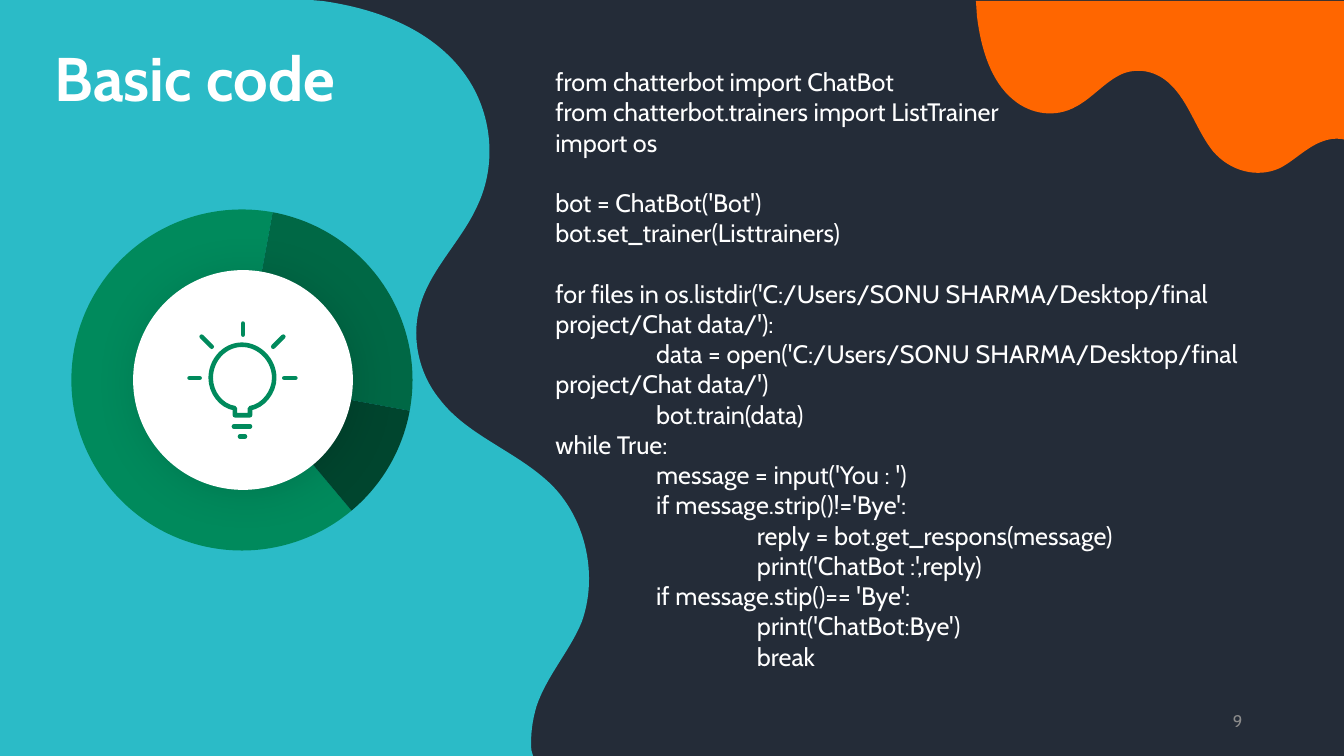
from lxml.etree import SubElement
from pptx import Presentation
from pptx.chart.data import CategoryChartData
from pptx.dml.color import RGBColor
from pptx.enum.chart import XL_CHART_TYPE
from pptx.enum.shapes import MSO_CONNECTOR, MSO_SHAPE
from pptx.enum.text import MSO_ANCHOR, MSO_AUTO_SIZE, PP_ALIGN
from pptx.oxml import parse_xml
from pptx.oxml.ns import nsdecls, qn
from pptx.util import Inches, Pt

NAVY = RGBColor(0x24, 0x2C, 0x38)
TEAL = RGBColor(0x2B, 0xBB, 0xC7)
ORANGE = RGBColor(0xFF, 0x66, 0x00)
WHITE = RGBColor(0xFF, 0xFF, 0xFF)
BLACK = RGBColor(0x00, 0x00, 0x00)
GREY = RGBColor(0x8C, 0x8C, 0x8C)
GREEN = RGBColor(0x00, 0x8A, 0x5C)
RING_COLOURS = [GREEN, RGBColor(0x00, 0x68, 0x45), RGBColor(0x00, 0x45, 0x2E)]

FONT = "Cabin"
CODE_LINE = Pt(21.6)

# Outlines: a pair is a straight line's end, six numbers are a Bézier curve.
TEAL_WAVE = [
    (-0.02, -0.01), (2.96, -0.01), (3.2, 0.01),
    (3.77, 0.09, 4.31, 0.31, 4.62, 0.75), (4.88, 1.12, 4.93, 1.62, 4.74, 2.03),
    (4.59, 2.37, 4.29, 2.65, 4.18, 2.99), (4.07, 3.31, 4.14, 3.69, 4.36, 3.96),
    (4.64, 4.33, 5.14, 4.48, 5.48, 4.82), (5.82, 5.17, 5.93, 5.72, 5.77, 6.17),
    (5.65, 6.46, 5.42, 6.71, 5.32, 7.01), (5.28, 7.15, 5.26, 7.29, 5.27, 7.44),
    (5.29, 7.51), (2.95, 7.51), (-0.02, 7.51),
]
ORANGE_DRIP = [
    (13.35, 0.01), (9.68, 0.01), (9.69, 0.16),
    (9.73, 0.49, 9.83, 0.81, 10.05, 0.99), (10.23, 1.14, 10.47, 1.17, 10.67, 1.06),
    (10.84, 0.97, 10.97, 0.8, 11.14, 0.73), (11.3, 0.67, 11.48, 0.71, 11.61, 0.84),
    (11.79, 1.01, 11.87, 1.3, 12.03, 1.5), (12.2, 1.7, 12.47, 1.77, 12.69, 1.67),
    (12.83, 1.6, 12.95, 1.47, 13.1, 1.41), (13.17, 1.38, 13.24, 1.37, 13.31, 1.38),
    (13.35, 1.39),
]
BULB_GLASS = [
    (2.72, 3.75), (2.72, 3.57, 2.57, 3.42, 2.4, 3.42),
    (2.23, 3.42, 2.09, 3.57, 2.09, 3.75), (2.09, 3.89, 2.19, 4.03, 2.33, 4.05),
    (2.33, 4.12), (2.48, 4.12), (2.48, 4.05),
    (2.61, 4.03, 2.72, 3.89, 2.72, 3.75),
]
BULB_STROKES = [
    (2.43, 4.33, 2.38, 4.33), (2.48, 4.23, 2.32, 4.23), (2.41, 3.21, 2.41, 3.32),
    (2.93, 3.75, 2.82, 3.75), (1.88, 3.75, 1.98, 3.75), (2, 3.34, 2.1, 3.44),
    (2.81, 3.34, 2.71, 3.44),
]

# Blocks are set apart by space; each line has its indent level.
CODE_BLOCKS = [
    [(0, "from chatterbot import ChatBot"),
     (0, "from chatterbot.trainers import ListTrainer"),
     (0, "import os")],
    [(0, "bot = ChatBot('Bot')"),
     (0, "bot.set_trainer(Listtrainers)")],
    [(0, "for files in os.listdir('C:/Users/SONU SHARMA/Desktop/final project/Chat data/'):"),
     (1, "data = open('C:/Users/SONU SHARMA/Desktop/final project/Chat data/')"),
     (1, "bot.train(data)"),
     (0, "while True:"),
     (1, "message = input('You : ')"),
     (1, "if message.strip()!='Bye':"),
     (2, "reply = bot.get_respons(message)"),
     (2, "print('ChatBot :',reply)"),
     (1, "if message.stip()== 'Bye':"),
     (2, "print('ChatBot:Bye')"),
     (2, "break")],
]


def set_all(target, formats):
    for name, value in formats.items():
        setattr(target, name, value)


def style_font(font, size, colour, bold=False):
    set_all(font, {"name": FONT, "size": Pt(size), "bold": bold})
    font.color.rgb = colour


def fill_plain(shape, colour):
    shape.fill.solid()
    shape.fill.fore_color.rgb = colour
    shape.line.fill.background()


def add_outline(slide, outline):
    """Draw straight lines through every point, then bend the curved segments."""
    start, *rest = [(Inches(x), Inches(y)) for segment in outline
                    for x, y in zip(segment[::2], segment[1::2])]
    builder = slide.shapes.build_freeform(*start)
    builder.add_line_segments(rest, close=True)
    shape = builder.convert_to_shape()
    shape.shadow.inherit = False
    lines = iter(list(shape.element.iter(qn("a:lnTo"))))
    for segment in outline[1:]:
        line = next(lines)
        if len(segment) == 6:
            line.addprevious(curve := parse_xml(f'<a:cubicBezTo {nsdecls("a")}/>'))
            for control in (line, next(lines), next(lines)):
                curve.append(control[0])
                control.getparent().remove(control)
    return shape


def draw_round_line(line):
    line.color.rgb = GREEN
    line.width = Pt(3.25)
    ln = line._get_or_add_ln()
    ln.set("cap", "rnd")
    SubElement(ln, qn("a:round"))


def add_bulb(slide):
    glass = add_outline(slide, BULB_GLASS)
    glass.fill.background()
    draw_round_line(glass.line)
    for ends in BULB_STROKES:
        stroke = slide.shapes.add_connector(MSO_CONNECTOR.STRAIGHT, *map(Inches, ends))
        draw_round_line(stroke.line)
        SubElement(stroke.element.spPr, qn("a:effectLst"))


def add_ring(slide):
    shares = CategoryChartData()
    shares.categories = ["1", "2", "3"]
    shares.add_series("Series 1", (64, 25, 11))
    chart = slide.shapes.add_chart(
        XL_CHART_TYPE.DOUGHNUT, Inches(0.18), Inches(1.94), Inches(4.44), Inches(3.66), shares
    ).chart
    set_all(chart, {"has_legend": False, "has_title": False})
    style_font(chart.font, 10, BLACK)
    plot = chart.plots[0]
    plot.vary_by_categories = True
    for index, colour in enumerate(RING_COLOURS):
        fill_plain(plot.series[0].points[index].format, colour)
    doughnut = chart.element.find(".//" + qn("c:doughnutChart"))
    for tag, value in {"c:firstSliceAng": "140", "c:holeSize": "55"}.items():
        doughnut.find(qn(tag)).set("val", value)


def add_plain_shape(slide, preset, colour, *box):
    shape = slide.shapes.add_shape(preset, *map(Inches, box))
    shape.shadow.inherit = False
    fill_plain(shape, colour)
    return shape


def add_soft_shadow(shape):
    shape.element.spPr.find(qn("a:effectLst")).append(parse_xml(
        f'<a:outerShdw {nsdecls("a")} blurRad="{Pt(30)}" dist="{Pt(3)}" '
        'dir="2700000" algn="ctr" rotWithShape="0"><a:srgbClr val="000000">'
        '<a:alpha val="12000"/></a:srgbClr></a:outerShdw>'))


def place_title(slide):
    title = slide.shapes.title
    set_all(title, {"left": Inches(0.54), "top": Inches(0.42),
                    "width": Inches(3.22), "height": Inches(0.77)})
    frame = title.text_frame
    set_all(frame, {"text": "Basic code", "margin_left": 0, "margin_right": 0,
                    "vertical_anchor": MSO_ANCHOR.MIDDLE, "auto_size": MSO_AUTO_SIZE.NONE})
    heading = frame.paragraphs[0]
    set_all(heading, {"alignment": PP_ALIGN.LEFT, "line_spacing": 0.9})
    style_font(heading.runs[0].font, 44, WHITE, bold=True)
    title.element.getparent().append(title.element)  # in front of the teal wave


def add_text_frame(slide, *box):
    frame = slide.shapes.add_textbox(*map(Inches, box)).text_frame
    frame.word_wrap = True
    return frame


def add_page_number(slide):
    frame = add_text_frame(slide, 9.42, 6.95, 3, 0.4)
    frame.vertical_anchor = MSO_ANCHOR.MIDDLE
    number = frame.paragraphs[0]
    set_all(number, {"text": "9", "alignment": PP_ALIGN.RIGHT})
    style_font(number.runs[0].font, 12, GREY)


def add_code(slide):
    frame = add_text_frame(slide, 5.41, 0.61, 7.66, 6.46)
    frame.auto_size = MSO_AUTO_SIZE.SHAPE_TO_FIT_TEXT
    for block_index, block in enumerate(CODE_BLOCKS):
        for line_index, (level, text) in enumerate(block):
            is_first = block_index == line_index == 0
            line = frame.paragraphs[0] if is_first else frame.add_paragraph()
            line.text = text
            style_font(line.runs[0].font, 18, WHITE)
            if block_index and line_index == 0:
                line.space_before = CODE_LINE
            properties = line._p.get_or_add_pPr()
            properties.set("marL", "0")
            properties.set("indent", str(Inches(level)))


def main():
    deck = Presentation()
    set_all(deck, {"slide_width": Inches(13.33), "slide_height": Inches(7.5)})
    slide = deck.slides.add_slide(deck.slide_layouts[5])
    add_plain_shape(slide, MSO_SHAPE.RECTANGLE, NAVY, -0.01, 0, 13.34, 7.5)
    fill_plain(add_outline(slide, TEAL_WAVE), TEAL)
    fill_plain(add_outline(slide, ORANGE_DRIP), ORANGE)
    place_title(slide)
    add_page_number(slide)
    add_ring(slide)
    add_soft_shadow(add_plain_shape(slide, MSO_SHAPE.OVAL, WHITE, 1.32, 2.68, 2.18, 2.18))
    add_bulb(slide)
    add_code(slide)
    deck.save("out.pptx")


if __name__ == "__main__":
    main()
